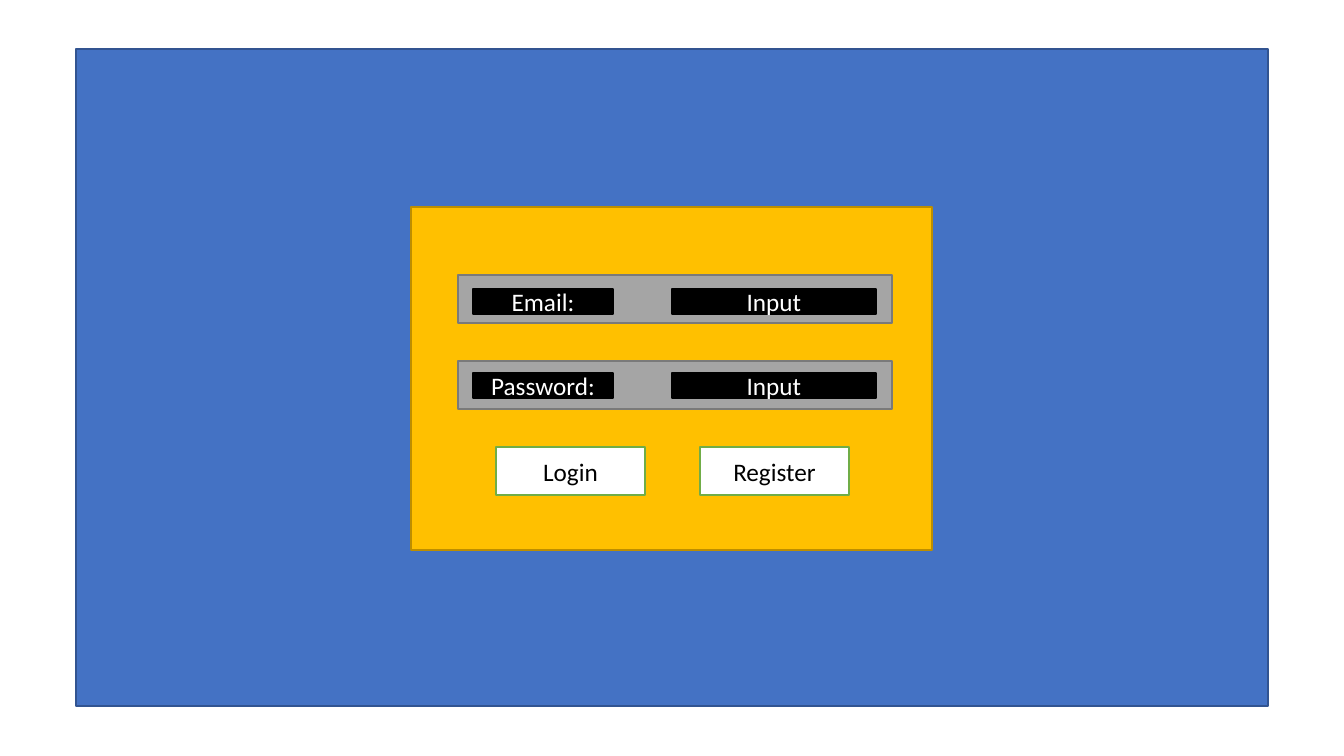
from pptx import Presentation
from pptx.dml.color import RGBColor
from pptx.enum.shapes import MSO_SHAPE
from pptx.enum.text import MSO_ANCHOR, PP_ALIGN
from pptx.util import Pt

RECTANGLE = MSO_SHAPE.RECTANGLE
MIDDLE = MSO_ANCHOR.MIDDLE
CENTER = PP_ALIGN.CENTER

# Content: each field has its label, its input and the top of its text boxes
FIELDS = [("Email:", "Input", 289), ("Password:", "Input", 373)]
BUTTONS = ["Login", "Register"]

# Role: fill, line, text
COLORS = {
    "page": ("4472C4", "325491", None),
    "panel": ("FFC000", "BD8E00", None),
    "field": ("A5A5A5", "7A7A7A", None),
    "entry": ("000000", "000000", "FFFFFF"),
    "button": ("FFFFFF", "70AD47", "000000"),
}
FONT, FONT_SIZE = "Calibri", 18

# Layout in px: left, top, width, height
PX = 914400 / 100.8
SLIDE_WIDTH, SLIDE_HEIGHT = 1344, 756
PAGE = (76, 49, 1192, 657)
PANEL = (411, 207, 521, 343)
ROW_HEIGHT, ROW_STEP = 48, 86
FIELD_LEFT, FIELD_TOP, FIELD_WIDTH = 458, 275, 434
LABEL_LEFT, LABEL_WIDTH = 473, 140
INPUT_LEFT, INPUT_WIDTH = 672, 204
ENTRY_HEIGHT = 25
BUTTON_LEFT, BUTTON_WIDTH, BUTTON_STEP = 496, 149, 204


def emu(px):
    return round(px * PX)


def add_box(group, role, box, text=None):
    fill, line, ink = COLORS[role]
    shape = group.shapes.add_shape(RECTANGLE, *map(emu, box))
    shape.shadow.inherit = False
    shape.fill.solid()
    shape.fill.fore_color.rgb = RGBColor.from_string(fill)
    shape.line.color.rgb = RGBColor.from_string(line)
    shape.line.width = Pt(1)
    if text:
        frame = shape.text_frame
        frame.vertical_anchor = MIDDLE
        paragraph = frame.paragraphs[0]
        paragraph.alignment = CENTER
        run = paragraph.add_run()
        run.text = text
        run.font.name = FONT
        run.font.size = Pt(FONT_SIZE)
        run.font.color.rgb = RGBColor.from_string(ink)


def main():
    deck = Presentation()
    deck.slide_width, deck.slide_height = emu(SLIDE_WIDTH), emu(SLIDE_HEIGHT)
    slide = deck.slides.add_slide(deck.slide_layouts[6])
    login_form = slide.shapes.add_group_shape()

    add_box(login_form, "page", PAGE)
    add_box(login_form, "panel", PANEL)
    for row, (label, entry, entry_top) in enumerate(FIELDS):
        field_top = FIELD_TOP + row * ROW_STEP
        add_box(login_form, "field", (FIELD_LEFT, field_top, FIELD_WIDTH, ROW_HEIGHT))
        add_box(login_form, "entry", (LABEL_LEFT, entry_top, LABEL_WIDTH, ENTRY_HEIGHT), label)
        add_box(login_form, "entry", (INPUT_LEFT, entry_top, INPUT_WIDTH, ENTRY_HEIGHT), entry)

    button_top = FIELD_TOP + len(FIELDS) * ROW_STEP
    for column, caption in enumerate(BUTTONS):
        button_left = BUTTON_LEFT + column * BUTTON_STEP
        add_box(login_form, "button", (button_left, button_top, BUTTON_WIDTH, ROW_HEIGHT), caption)

    deck.save("out.pptx")


if __name__ == "__main__":
    main()
